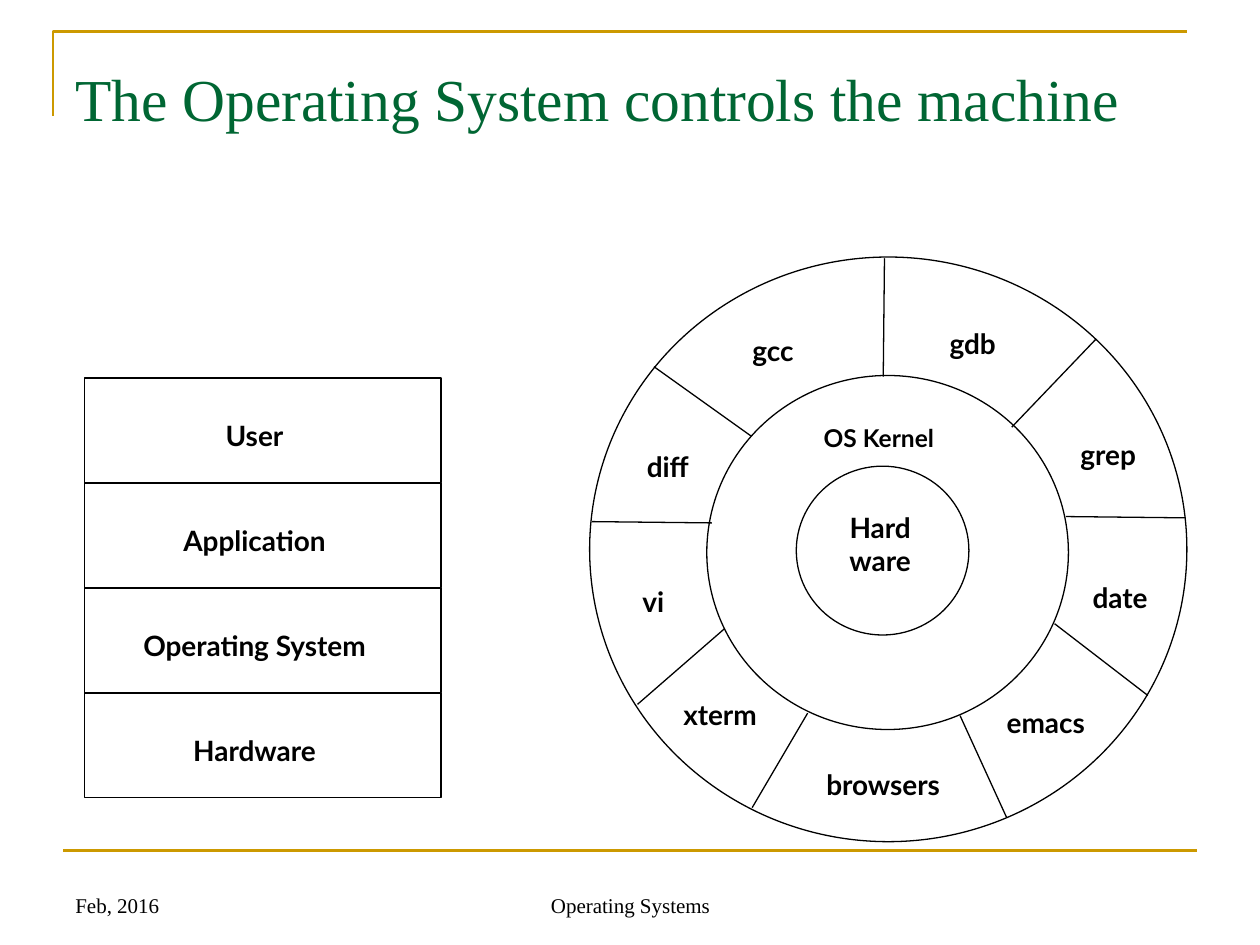
from dataclasses import dataclass

from lxml import etree
from pptx import Presentation
from pptx.dml.color import RGBColor
from pptx.enum.shapes import MSO_CONNECTOR, MSO_SHAPE
from pptx.enum.text import MSO_ANCHOR, MSO_AUTO_SIZE, PP_ALIGN
from pptx.oxml.ns import qn
from pptx.util import Inches, Pt

STRAIGHT = MSO_CONNECTOR.STRAIGHT
RECTANGLE, ELLIPSE = MSO_SHAPE.RECTANGLE, MSO_SHAPE.OVAL
TOP, BOTTOM = MSO_ANCHOR.TOP, MSO_ANCHOR.BOTTOM
LEFT, CENTER = PP_ALIGN.LEFT, PP_ALIGN.CENTER
FIT_TEXT, FIXED = MSO_AUTO_SIZE.SHAPE_TO_FIT_TEXT, MSO_AUTO_SIZE.NONE


@dataclass(frozen=True)
class Theme:
    ink: RGBColor = RGBColor(0, 0, 0)
    gold: RGBColor = RGBColor(0xCC, 0x99, 0)
    green: RGBColor = RGBColor(0, 0x66, 0x33)
    serif: str = "Times New Roman"
    sans: str = "Lato"
    title_size: int = 34
    label_size: int = 16
    kernel_size: int = 14
    footer_size: int = 12
    rule_width: float = 1.5
    outline_width: float = 0.75


THEME = Theme()

LAYERS = [
    ("User", 0.71),
    ("Application", 1.46),
    ("Operating System", 2.19),
    ("Hardware", 1.3),
]
LAYER_LEFT, LAYER_TOP, LAYER_WIDTH, LAYER_HEIGHT = 0.67, 3, 2.83, 0.83
LAYER_PITCH = 2.5 / 3
LAYER_LABEL_CENTER = 2.02
LABEL_HEIGHT = 0.37

RINGS = [
    (4.68, 2.04, 4.74, 4.64),
    (5.61, 2.98, 2.87, 2.81),
    (6.32, 3.7, 1.37, 1.34),
]
SPOKES = [
    (7.62, 5.68, 7.99, 6.49),
    (8.37, 4.95, 9.11, 5.52),
    (8.46, 4.1, 9.41, 4.11),
    (6.41, 5.66, 5.97, 6.41),
    (5.75, 4.99, 5.06, 5.59),
    (4.7, 4.14, 5.65, 4.15),
    (5.19, 2.91, 5.96, 3.46),
    (7.02, 2.05, 7.01, 2.99),
    (8.7, 2.69, 8.03, 3.39),
]
PROGRAMS = [
    ("gcc", 5.85, 2.6, 0.57),
    ("gdb", 7.41, 2.54, 0.62),
    ("grep", 8.44, 3.42, 0.71),
    ("date", 8.54, 4.56, 0.7),
    ("emacs", 7.85, 5.55, 0.9),
    ("browsers", 6.41, 6.04, 1.2),
    ("xterm", 5.28, 5.49, 0.87),
    ("vi", 4.99, 4.59, 0.39),
    ("diff", 5.01, 3.52, 0.58),
]


def add_text(page, text, left, top, width, height, *, size, font=THEME.serif,
             color=THEME.ink, bold=False, align=LEFT, anchor=TOP, wrap=True):
    box = page.shapes.add_textbox(
        Inches(left), Inches(top), Inches(width), Inches(height))
    frame = box.text_frame
    frame.word_wrap = wrap
    frame.auto_size = FIXED if wrap else FIT_TEXT
    frame.vertical_anchor = anchor
    frame.text = text
    for para in frame.paragraphs:
        para.alignment = align
        for span in para.runs:
            span.font.name = font
            span.font.size = Pt(size)
            span.font.bold = bold
            span.font.color.rgb = color


def add_label(page, text, left, top, width, height=LABEL_HEIGHT,
              size=THEME.label_size):
    add_text(page, text, left, top, width, height, size=size,
             font=THEME.sans, bold=True, align=CENTER, wrap=False)


def style_outline(shape, color, width):
    shape.shadow.inherit = False
    shape.fill.background()
    shape.line.color.rgb = color
    shape.line.width = Pt(width)


def add_outline(page, kind, left, top, width, height):
    shape = page.shapes.add_shape(
        kind, Inches(left), Inches(top), Inches(width), Inches(height))
    style_outline(shape, THEME.ink, THEME.outline_width)


def add_line(page, x1, y1, x2, y2, color=THEME.ink, width=THEME.outline_width):
    line = page.shapes.add_connector(
        STRAIGHT, Inches(x1), Inches(y1), Inches(x2), Inches(y2))
    line.line.color.rgb = color
    line.line.width = Pt(width)
    etree.SubElement(line._element.spPr, qn("a:effectLst"))


def add_corner(page):
    builder = page.shapes.build_freeform(Inches(0.42), Inches(0.92))
    builder.add_line_segments(
        [(Inches(0.42), Inches(0.25)), (Inches(9.42), Inches(0.25))],
        close=False)
    style_outline(builder.convert_to_shape(), THEME.gold, THEME.rule_width)


def add_frame(page):
    add_corner(page)
    add_line(page, 0.5, 6.75, 9.5, 6.75, THEME.gold, THEME.rule_width)
    add_text(page, "Feb, 2016", 0.5, 6.83, 2.33, 0.5,
             size=THEME.footer_size, anchor=BOTTOM)
    add_text(page, "Operating Systems", 3.42, 6.83, 3.17, 0.5,
             size=THEME.footer_size, align=CENTER, anchor=BOTTOM)
    add_text(page, "The Operating System controls the machine",
             0.5, 0.44, 9, 1.25, size=THEME.title_size, color=THEME.green)


def add_layer_stack(page):
    for index, (name, width) in enumerate(LAYERS):
        top = LAYER_TOP + index * LAYER_PITCH
        add_outline(page, RECTANGLE, LAYER_LEFT, top, LAYER_WIDTH, LAYER_HEIGHT)
        add_label(page, name, LAYER_LABEL_CENTER - width / 2, top + 0.27, width)


def add_kernel_rings(page):
    for ring in RINGS:
        add_outline(page, ELLIPSE, *ring)
    for spoke in SPOKES:
        add_line(page, *spoke)
    for program in PROGRAMS:
        add_label(page, *program)
    add_label(page, "OS Kernel", 6.4, 3.31, 1.15, 0.34, THEME.kernel_size)
    add_label(page, "Hard\nware", 6.61, 4, 0.75, 0.64)


def main():
    deck = Presentation()
    deck.slide_width, deck.slide_height = Inches(10), Inches(7.5)
    page = deck.slides.add_slide(deck.slide_layouts[6])
    add_frame(page)
    add_layer_stack(page)
    add_kernel_rings(page)
    deck.save("out.pptx")


if __name__ == "__main__":
    main()
